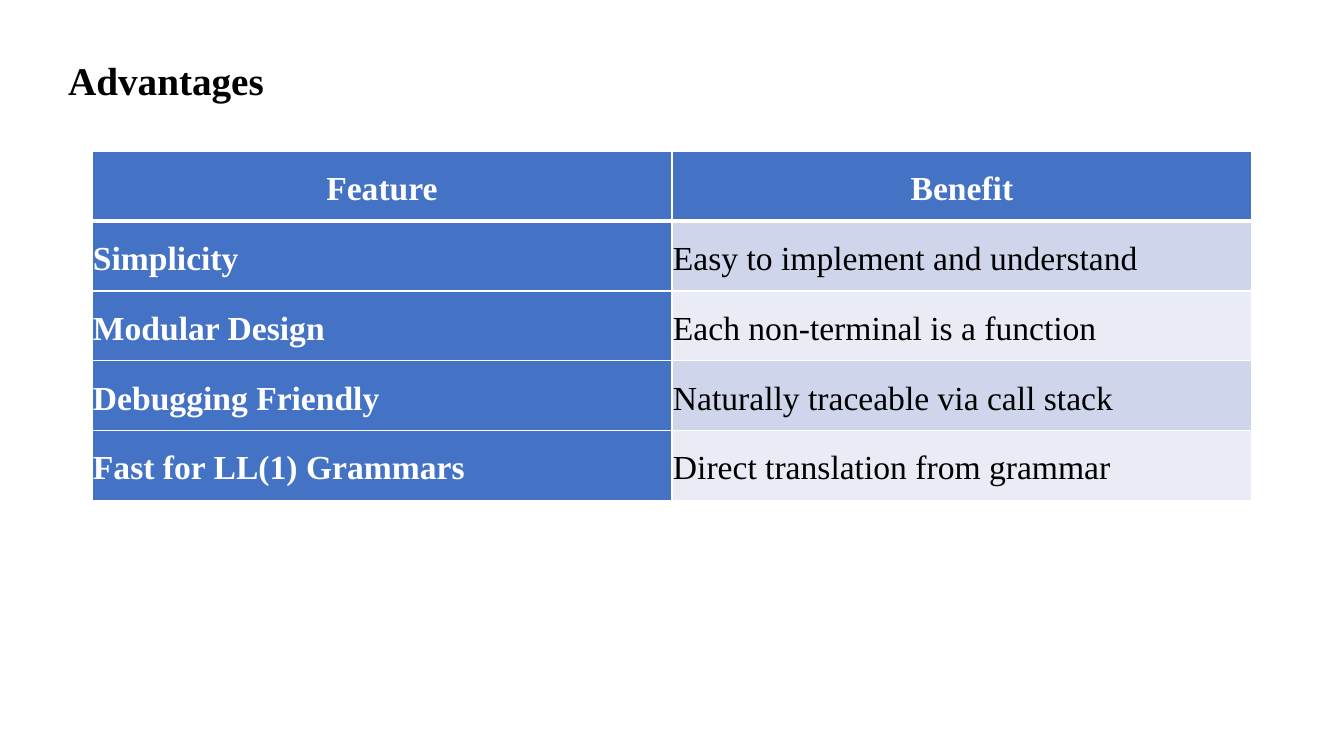
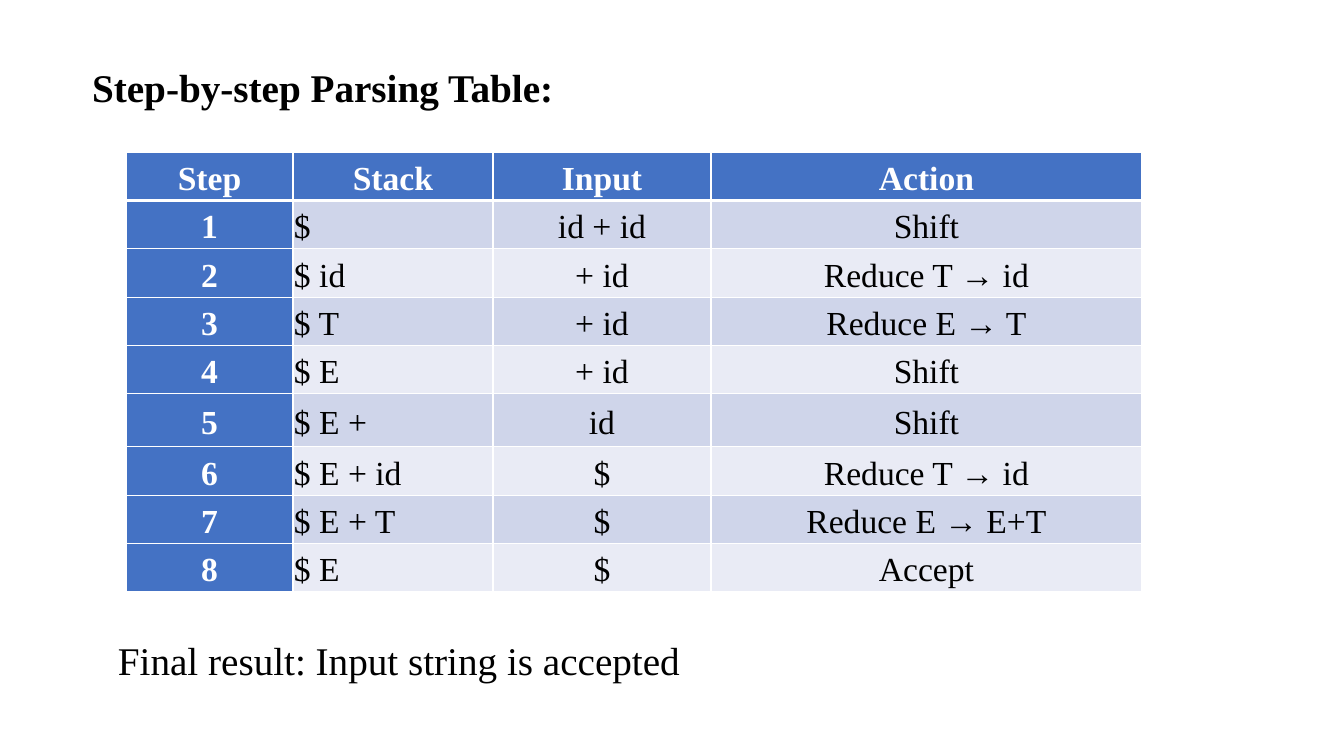
from pptx import Presentation
from pptx.dml.color import RGBColor
from pptx.enum.text import MSO_ANCHOR as Anchor, MSO_AUTO_SIZE as AutoSize, PP_ALIGN as Align
from pptx.oxml.ns import qn
from pptx.util import Emu, Pt
from lxml.etree import SubElement

EMU_PER_PX = 914400 / 100.8
COLORS = {
    "header": "4472C4",
    "band_dark": "CFD5EA",
    "band_light": "E9EBF5",
    "white": "FFFFFF",
    "black": "000000",
}
FONT = "Times New Roman"
TITLE_ONLY = 5

ADVANTAGES = [
    ["Feature", "Benefit"],
    ["Simplicity", "Easy to implement and understand"],
    ["Modular Design", "Each non-terminal is a function"],
    ["Debugging Friendly", "Naturally traceable via call stack"],
    ["Fast for LL(1) Grammars", "Direct translation from grammar"],
]
PARSING_STEPS = [
    ["Step", "Stack", "Input", "Action"],
    ["1", "$", "id + id", "Shift"],
    ["2", "$ id", "+ id", "Reduce T → id"],
    ["3", "$ T", "+ id", "Reduce E → T"],
    ["4", "$ E", "+ id", "Shift"],
    ["5", "$ E +", "id", "Shift"],
    ["6", "$ E + id", "$", "Reduce T → id"],
    ["7", "$ E + T", "$", "Reduce E → E+T"],
    ["8", "$ E", "$", "Accept"],
]


def px(length):
    return Emu(round(length * EMU_PER_PX))


def color(name):
    return RGBColor.from_string(COLORS[name])


def write_text(frame, text, size=28, fill="black", bold=False, align=Align.LEFT,
               line_spacing=1.15, space_after=8):
    paragraph = frame.paragraphs[0]
    paragraph.alignment = align
    paragraph.line_spacing = line_spacing
    paragraph.space_before = Pt(0)
    paragraph.space_after = Pt(space_after)
    run = paragraph.add_run()
    run.text = text
    run.font.name = FONT
    run.font.size = Pt(size)
    run.font.bold = bold
    run.font.color.rgb = color(fill)


def add_titled_slide(presentation, title, left, top):
    slide = presentation.slides.add_slide(presentation.slide_layouts[TITLE_ONLY])
    shape = slide.shapes.title
    shape.left, shape.top, shape.width, shape.height = map(px, (left, top, 672, 62))
    frame = shape.text_frame
    frame.vertical_anchor = Anchor.TOP
    frame.auto_size = AutoSize.SHAPE_TO_FIT_TEXT
    write_text(frame, title, bold=True)
    return slide


def add_note(slide, text, left, top, width, height):
    frame = slide.shapes.add_textbox(*map(px, (left, top, width, height))).text_frame
    frame.word_wrap = True
    frame.auto_size = AutoSize.SHAPE_TO_FIT_TEXT
    write_text(frame, text, line_spacing=1.0, space_after=0)


def set_borders(cell, **widths):
    """Draw white borders; widths are points keyed by L, R, T and B."""
    properties = cell._tc.get_or_add_tcPr()
    for side, width in widths.items():
        line = SubElement(properties, qn(f"a:ln{side}"), w=str(Pt(width)))
        fill = SubElement(line, qn("a:solidFill"))
        SubElement(fill, qn("a:srgbClr"), val=COLORS["white"])


def format_cell(cell, text, row, column, align):
    is_heading = row == 0 or column == 0
    set_borders(cell, L=1, R=1, T=3 if row == 1 else 1, B=3 if row == 0 else 1)
    cell.fill.solid()
    band = "band_dark" if row % 2 else "band_light"
    cell.fill.fore_color.rgb = color("header" if is_heading else band)
    cell.margin_left = cell.margin_right = cell.margin_top = cell.margin_bottom = px(1)
    cell.vertical_anchor = Anchor.MIDDLE
    write_text(cell.text_frame, text, size=24, bold=is_heading,
               fill="white" if is_heading else "black",
               align=Align.CENTER if row == 0 else align)


def add_banded_table(slide, rows, left, top, column_widths, row_heights, aligns):
    """Add a table with a header row and column; aligns apply to the body columns."""
    box = map(px, (left, top, sum(column_widths), sum(row_heights)))
    table = slide.shapes.add_table(len(rows), len(column_widths), *box).table
    table.first_col = True
    for column, width in zip(table.columns, column_widths):
        column.width = px(width)
    for row_index, (texts, height) in enumerate(zip(rows, row_heights)):
        table.rows[row_index].height = px(height)
        for column_index, (text, align) in enumerate(zip(texts, aligns)):
            format_cell(table.cell(row_index, column_index), text,
                        row_index, column_index, align)


def build_advantages(presentation):
    slide = add_titled_slide(presentation, "Advantages", left=58, top=44)
    add_banded_table(slide, ADVANTAGES, left=92, top=151,
                     column_widths=[580] * 2,
                     row_heights=[70] * len(ADVANTAGES),
                     aligns=[Align.LEFT] * 2)


def build_parsing_steps(presentation):
    slide = add_titled_slide(presentation, "Step-by-step Parsing Table:", left=82, top=51)
    row_heights = [53 if row[0] == "5" else 46 for row in PARSING_STEPS]
    add_banded_table(slide, PARSING_STEPS, left=126, top=152,
                     column_widths=[167, 200, 218, 431],
                     row_heights=row_heights,
                     aligns=[Align.CENTER, Align.LEFT, Align.CENTER, Align.CENTER])
    add_note(slide, "Final result: Input string is accepted",
             left=108, top=631, width=672, height=57)


def main():
    presentation = Presentation()
    presentation.slide_width = px(1344)
    presentation.slide_height = px(756)
    build_advantages(presentation)
    build_parsing_steps(presentation)
    presentation.save("out.pptx")


if __name__ == "__main__":
    main()
